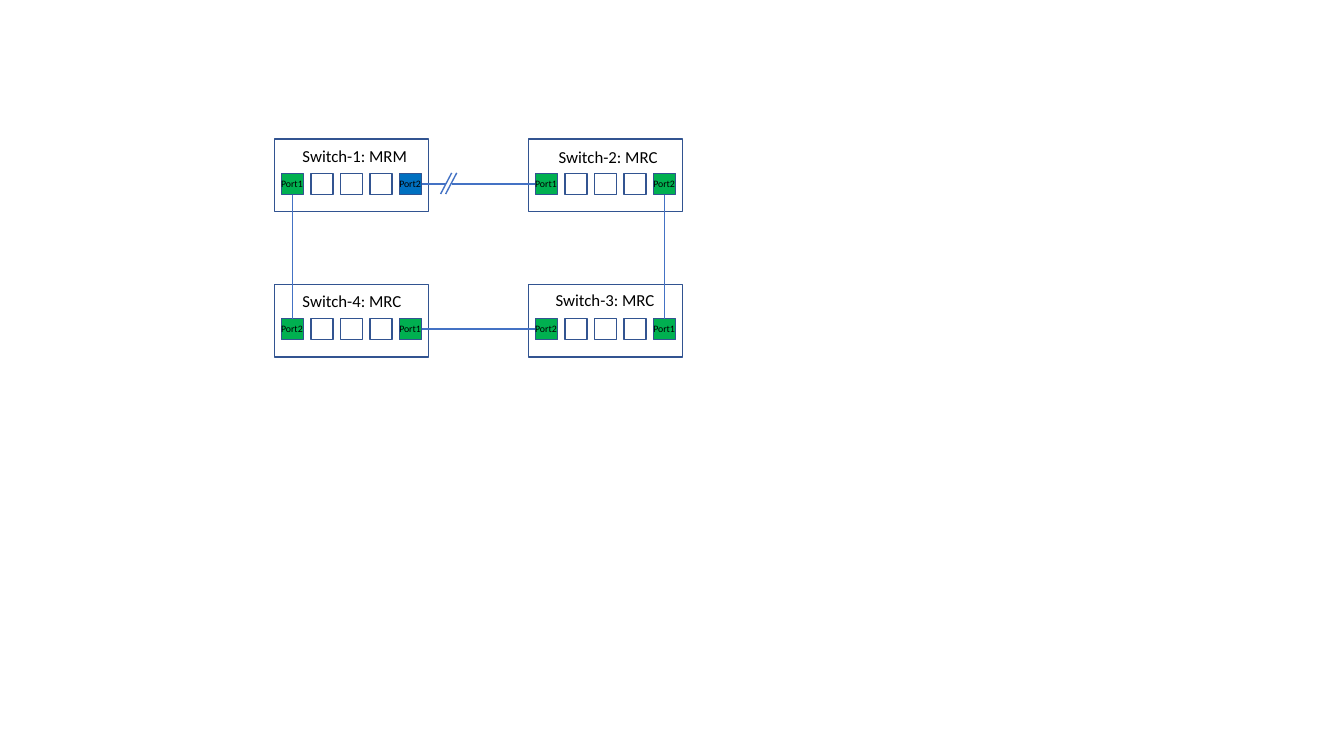
import pptx
import pptx.dml.color
import pptx.enum.shapes
import pptx.enum.text
import pptx.util
import lxml.etree

Inches = pptx.util.Inches
GREEN, BLUE, OUTLINE, CABLE = "00B050", "0070C0", "325491", "4472C4"
A_NS = "http://schemas.openxmlformats.org/drawingml/2006/main"

# Grid of two columns and two rows of switches, each with five ports
LEFT, TOP = 2.72, 1.38
COLUMN, ROW = 2.52, 1.44
SWITCH_WIDTH, SWITCH_HEIGHT = 1.53, 0.72
PORT_X, PORT_Y, PORT_STEP = 0.07, 0.34, 0.293
PORT_WIDTH, PORT_HEIGHT = 0.22, 0.21


def colour(code):
    return pptx.dml.color.RGBColor.from_string(code)


def add_label(text, left, top, width, height, size, frame_format):
    box = diagram.add_textbox(Inches(left), Inches(top), Inches(width), Inches(height))
    frame = box.text_frame
    for name, value in frame_format.items():
        setattr(frame, name, value)
    span = frame.paragraphs[0].add_run()
    span.text = text
    for name, value in {"name": "Calibri", "size": pptx.util.Pt(size)}.items():
        setattr(span.font, name, value)
    span.font.color.rgb = colour("000000")


deck = pptx.Presentation()
deck.slide_width, deck.slide_height = Inches(13.33), Inches(7.5)
page = deck.slides.add_slide(deck.slide_layouts[6])
diagram = page.shapes.add_group_shape().shapes

title_format = {
    "margin_left": 0, "margin_right": 0, "margin_top": 0, "margin_bottom": 0,
    "word_wrap": False, "vertical_anchor": pptx.enum.text.MSO_ANCHOR.MIDDLE,
}
port_format = {"word_wrap": True}

# Column, row, title, title offset and width, first and last port, last port colour
switches = [
    (0, 0, "Switch-1: MRM", 0.28, 0.07, 1.05, "Port1", "Port2", BLUE),
    (1, 0, "Switch-2: MRC", 0.30, 0.08, 0.99, "Port1", "Port2", GREEN),
    (1, 1, "Switch-3: MRC", 0.27, 0.05, 0.99, "Port2", "Port1", GREEN),
    (0, 1, "Switch-4: MRC", 0.28, 0.06, 0.99, "Port2", "Port1", GREEN),
]

# Switches with their ports and labels
for column, row, title, title_x, title_y, title_width, first, last, last_fill in switches:
    left, top = LEFT + column * COLUMN, TOP + row * ROW
    ports = [(left + PORT_X + number * PORT_STEP, top + PORT_Y) for number in range(5)]
    fills = [GREEN, None, None, None, last_fill]
    outlines = [(left, top, SWITCH_WIDTH, SWITCH_HEIGHT, None)]
    outlines += [(x, y, PORT_WIDTH, PORT_HEIGHT, fill) for (x, y), fill in zip(ports, fills)]
    for x, y, width, height, fill in outlines:
        box = diagram.add_shape(pptx.enum.shapes.MSO_SHAPE.RECTANGLE,
                                Inches(x), Inches(y), Inches(width), Inches(height))
        box.shadow.inherit = False
        box.line.color.rgb = colour(OUTLINE)
        box.line.width = pptx.util.Pt(1)
        if fill:
            box.fill.solid()
            box.fill.fore_color.rgb = colour(fill)
        else:
            box.fill.background()
    add_label(title, left + title_x, top + title_y, title_width, 0.2, 12, title_format)
    for text, (x, y) in ((first, ports[0]), (last, ports[4])):
        add_label(text, x - 0.1, y - 0.01, 0.46, 0.22, 7, port_format)

# Ring cables, with a break between the first two switches
upper, lower = TOP + PORT_Y + PORT_HEIGHT / 2, TOP + ROW + PORT_Y + PORT_HEIGHT / 2
port_bottom, port_top = TOP + PORT_Y + PORT_HEIGHT, TOP + ROW + PORT_Y
left_end = LEFT + PORT_X + 4 * PORT_STEP + PORT_WIDTH
right_start = LEFT + COLUMN + PORT_X
left_cable = LEFT + PORT_X + PORT_WIDTH / 2
right_cable = left_cable + COLUMN + 4 * PORT_STEP
cables = [
    (left_end, upper, 4.42, upper),
    (4.48, upper, right_start, upper),
    (left_end, lower, right_start, lower),
    (left_cable, port_bottom, left_cable, port_top),
    (right_cable, port_bottom, right_cable, port_top),
]
cables += [(x, upper - 0.11, x - 0.11, upper + 0.1) for x in (4.48, 4.53)]
for ends in cables:
    cable = diagram.add_connector(pptx.enum.shapes.MSO_CONNECTOR.STRAIGHT,
                                  *[Inches(end) for end in ends])
    cable.line.color.rgb = colour(CABLE)
    cable.line.width = pptx.util.Pt(1)
    lxml.etree.SubElement(cable._element.spPr, f"{{{A_NS}}}effectLst")

deck.save("out.pptx")
